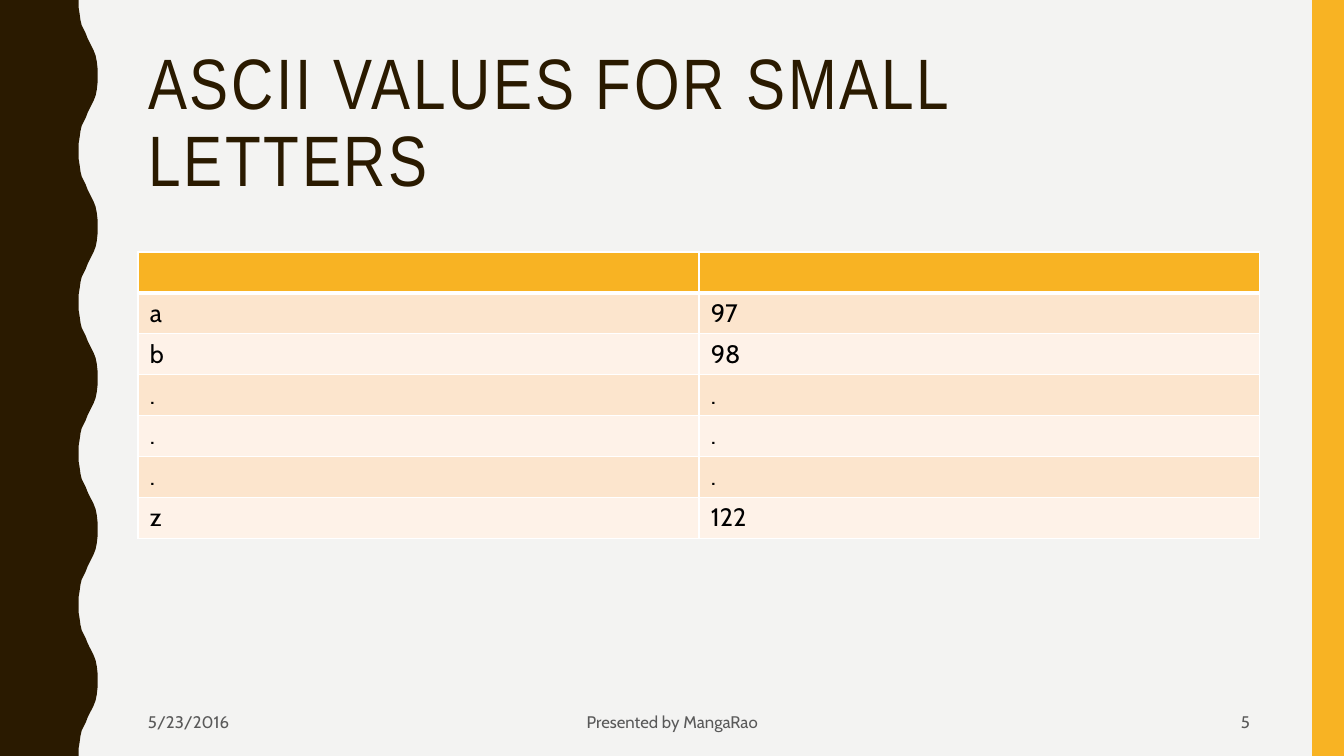
from lxml import etree
from pptx import Presentation
from pptx.dml.color import RGBColor
from pptx.enum import shapes, text
from pptx.oxml import ns
from pptx.util import Cm, Pt

BROWN = RGBColor(0x2A, 0x1A, 0x00)
AMBER = RGBColor(0xF8, 0xB3, 0x23)
PAPER = RGBColor(0xF3, 0xF3, 0xF2)
PEACH = RGBColor(0xFC, 0xE5, 0xCD)
CREAM = RGBColor(0xFE, 0xF2, 0xE8)
WHITE = RGBColor(0xFF, 0xFF, 0xFF)
BLACK = RGBColor(0x00, 0x00, 0x00)
GREY = RGBColor(0x59, 0x59, 0x59)

HEADING_FONT, BODY_FONT = "Arial Narrow", "Cabin"
WIDTH, HEIGHT = 33.87, 19.05
LEFT, CONTENT_WIDTH = 3.48, 28.27
ROW_HEIGHT = 1.03
WAVE_PERIOD = HEIGHT / 5
# Trough to crest of one wave, as (x, y) in centimetres.
HALF_WAVE = [(1.98, 0), (1.98, 0.18), (2.01, 0.36), (2.03, 0.51), (2.06, 0.64),
             (2.11, 0.74), (2.16, 0.84), (2.21, 0.97), (2.26, 1.07), (2.31, 1.17),
             (2.36, 1.27), (2.41, 1.4), (2.44, 1.55), (2.46, 1.73), (2.46, 1.9)]
LETTER_CODES = [("", ""), ("a", "97"), ("b", "98"), (".", "."), (".", "."),
                (".", "."), ("z", "122")]


def write_text(frame, wording, font=BODY_FONT, size=18, color=BLACK,
               align=text.PP_ALIGN.LEFT, line_spacing=None, letter_spacing=0):
    """Put one formatted paragraph into a text frame."""
    paragraph = frame.paragraphs[0]
    paragraph.alignment = align
    if line_spacing:
        paragraph.line_spacing = line_spacing
    run = paragraph.add_run()
    run.text = wording
    run.font.name = font
    run.font.size = Pt(size)
    run.font.color.rgb = color
    if letter_spacing:
        run._r.get_or_add_rPr().set("spc", str(letter_spacing * 100))


def paint(shape, color):
    """Give a shape a flat fill without line or shadow."""
    shape.shadow.inherit = False
    shape.fill.solid()
    shape.fill.fore_color.rgb = color
    shape.line.fill.background()


def add_wavy_band(slide):
    """Draw the dark band with its wavy right edge."""
    falling = [(x, WAVE_PERIOD - y) for x, y in reversed(HALF_WAVE[1:-1])]
    edge = [(Cm(x), Cm(y + wave * WAVE_PERIOD))
            for wave in range(5) for x, y in HALF_WAVE + falling]
    builder = slide.shapes.build_freeform(0, 0)
    builder.add_line_segments(
        edge + [(Cm(HALF_WAVE[0][0]), Cm(HEIGHT)), (0, Cm(HEIGHT))], close=True)
    paint(builder.convert_to_shape(), BROWN)


def add_side_bar(slide):
    """Draw the amber bar along the right side."""
    bar = slide.shapes.add_shape(shapes.MSO_SHAPE.RECTANGLE, Cm(33.07), 0,
                                 Cm(WIDTH - 33.07), Cm(HEIGHT))
    paint(bar, AMBER)


def fill_title(slide, wording):
    """Move the title placeholder into place and fill it."""
    title = slide.shapes.title
    title.left, title.top = Cm(LEFT), Cm(1.07)
    title.width, title.height = Cm(CONTENT_WIDTH), Cm(4.14)
    frame = title.text_frame
    frame.word_wrap = True
    frame.auto_size = text.MSO_AUTO_SIZE.NONE
    frame.vertical_anchor = text.MSO_ANCHOR.MIDDLE
    frame.margin_right = Cm(0.5)
    write_text(frame, wording, font=HEADING_FONT, size=51, color=BROWN,
               line_spacing=0.9, letter_spacing=2)


def set_border(cell, side, width):
    """Add a white border to one side (L, R, T or B) of a cell."""
    line = etree.SubElement(cell._tc.get_or_add_tcPr(), ns.qn(f"a:ln{side}"),
                            w=str(Pt(width)))
    fill = etree.SubElement(line, ns.qn("a:solidFill"))
    etree.SubElement(fill, ns.qn("a:srgbClr"), val=str(WHITE))


def add_code_table(slide):
    """Build the table of letters and their codes."""
    table = slide.shapes.add_table(
        len(LETTER_CODES), 2, Cm(LEFT), Cm(6.35), Cm(CONTENT_WIDTH),
        Cm(ROW_HEIGHT * len(LETTER_CODES))).table
    table.first_row = table.horz_banding = False
    for row, values in enumerate(LETTER_CODES):
        table.rows[row].height = Cm(ROW_HEIGHT)
        for column, value in enumerate(values):
            cell = table.cell(row, column)
            cell.margin_left = cell.margin_right = Cm(0.3)
            for side in "LRTB":
                under_header = (row, side) in ((0, "B"), (1, "T"))
                set_border(cell, side, 3 if under_header else 1)
            cell.fill.solid()
            cell.fill.fore_color.rgb = (
                AMBER if row == 0 else PEACH if row % 2 else CREAM)
            if value:
                write_text(cell.text_frame, value)


def add_footer(slide, wording, left, width, align):
    """Add one part of the footer line."""
    box = slide.shapes.add_textbox(Cm(left), Cm(17.7), Cm(width), Cm(0.97))
    box.text_frame.word_wrap = True
    box.text_frame.vertical_anchor = text.MSO_ANCHOR.MIDDLE
    write_text(box.text_frame, wording, size=12, color=GREY, align=align)


def main():
    """Build and save the slide."""
    deck = Presentation()
    deck.slide_width, deck.slide_height = Cm(WIDTH), Cm(HEIGHT)
    slide = deck.slides.add_slide(deck.slide_layouts.get_by_name("Title Only"))
    slide.background.fill.solid()
    slide.background.fill.fore_color.rgb = PAPER
    add_wavy_band(slide)
    add_side_bar(slide)
    fill_title(slide, "ASCII VALUES FOR SMALL LETTERS")
    add_code_table(slide)
    add_footer(slide, "5/23/2016", LEFT, 6.48, text.PP_ALIGN.LEFT)
    add_footer(slide, "Presented by MangaRao", 11.23, 11.43, text.PP_ALIGN.CENTER)
    add_footer(slide, "5", 23.93, 7.82, text.PP_ALIGN.RIGHT)
    deck.save("out.pptx")


main()
